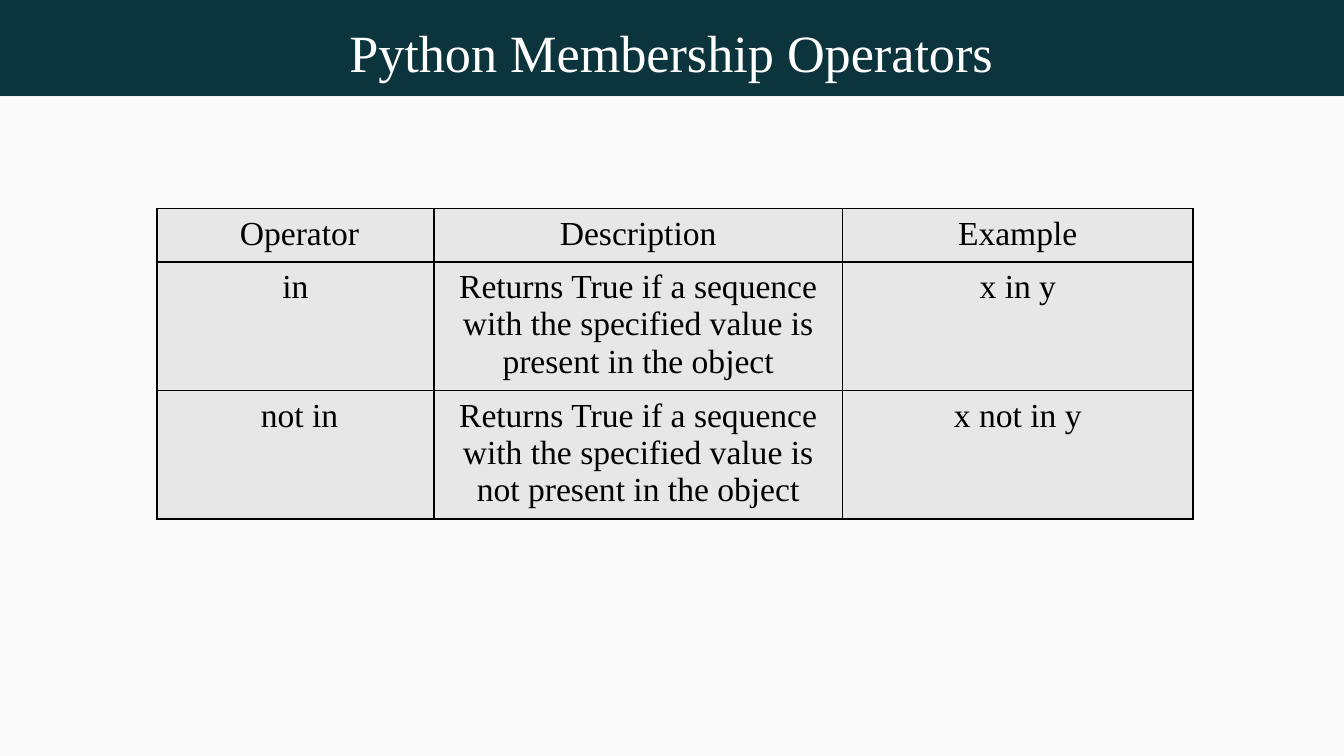
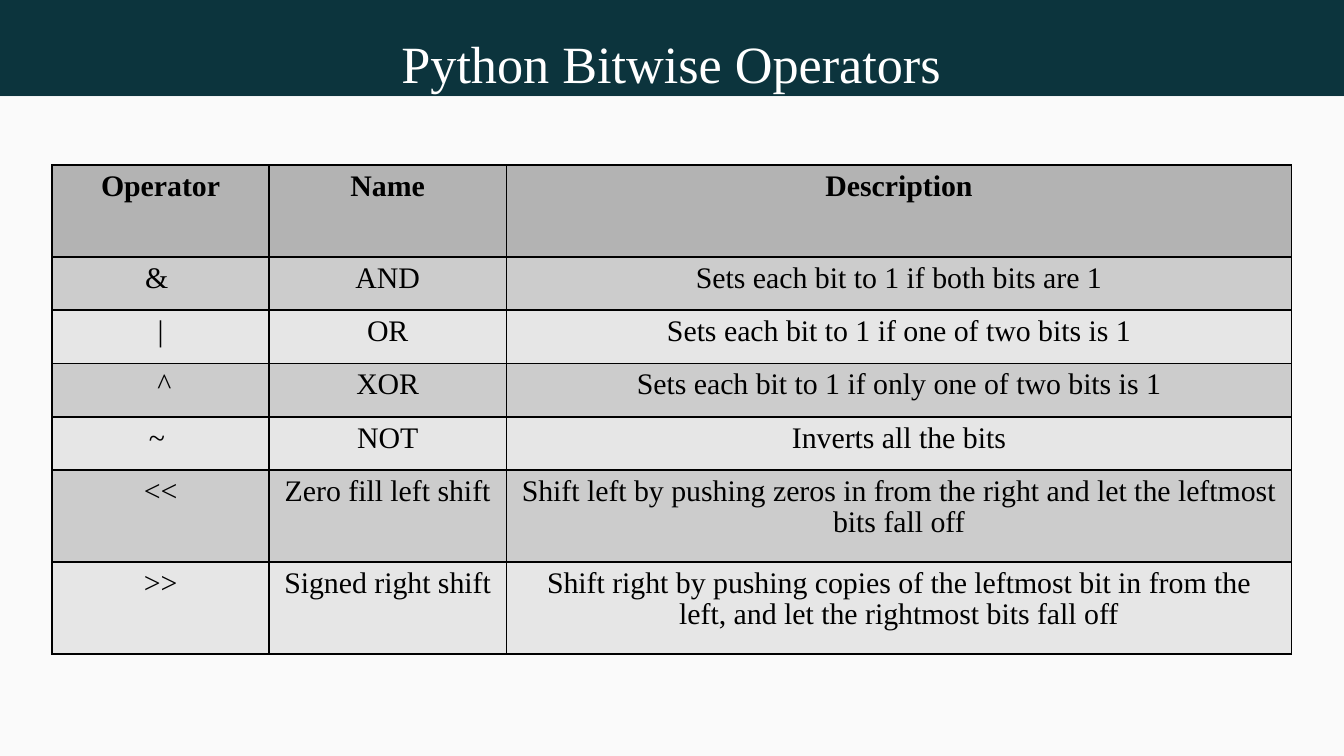
from dataclasses import dataclass

from lxml import etree
from pptx import Presentation
from pptx.dml.color import RGBColor
from pptx.enum import shapes, text
from pptx.oxml import ns
from pptx.util import Pt

FONT = "Times New Roman"
COLORS = {
    "band": "0C343D",
    "page": "FAFAFA",
    "title": "FFFFFF",
    "ink": "000000",
    "plain": "E7E7E7",
    "head": "B3B3B3",
    "odd": "CCCCCC",
    "even": "E6E6E6",
}
SLIDE_W, SLIDE_H, BAND_H = 720, 405, 51.6
BORDER_W = 0.96


@dataclass
class Band:
    top: float
    height: float
    color: str


@dataclass
class OperatorTable:
    title: str
    title_top: float
    left: float
    top: float
    widths: list[float]
    heights: list[float]
    rows: list[tuple[str, ...]]
    size: float
    head_fill: str
    body_fills: tuple[str, ...]
    head_bold: bool
    line_spacing: float
    side_margin: float
    first_margin: float


BANDS = [
    Band(0, BAND_H, "band"),
    Band(BAND_H, SLIDE_H - BAND_H, "page"),
]

TABLES = [
    OperatorTable(
        title="Python Membership Operators",
        title_top=10.8,
        left=84.2,
        top=111.6,
        widths=[148.3, 218.9, 187.8],
        heights=[28.8, 68.8, 68.8],
        rows=[
            ("Operator", "Description", "Example"),
            ("in ", "Returns True if a sequence with the specified value is "
             "present in the object", "x in y"),
            ("not in", "Returns True if a sequence with the specified value is "
             "not present in the object", "x not in y"),
        ],
        size=18,
        head_fill="plain",
        body_fills=("plain",),
        head_bold=False,
        line_spacing=1.0,
        side_margin=4.3,
        first_margin=8.6,
    ),
    OperatorTable(
        title="Python Bitwise Operators",
        title_top=16.8,
        left=28,
        top=88.5,
        widths=[116, 127.4, 420.5],
        heights=[49.2] + [28.55] * 4 + [49.2] * 2,
        rows=[
            ("Operator", "Name", "Description"),
            ("& ", "AND", "Sets each bit to 1 if both bits are 1"),
            ("|", "OR", "Sets each bit to 1 if one of two bits is 1"),
            (" ^", "XOR", "Sets each bit to 1 if only one of two bits is 1"),
            ("~ ", "NOT", "Inverts all the bits"),
            ("<<", "Zero fill left shift", "Shift left by pushing zeros in from "
             "the right and let the leftmost bits fall off"),
            (">>", "Signed right shift", "Shift right by pushing copies of the "
             "leftmost bit in from the left, and let the rightmost bits fall off"),
        ],
        size=16,
        head_fill="head",
        body_fills=("odd", "even"),
        head_bold=True,
        line_spacing=0.93,
        side_margin=7.2,
        first_margin=7.2,
    ),
]


def rgb(name: str) -> RGBColor:
    return RGBColor.from_string(COLORS[name])


def style_text(p, size: float, color: str, bold: bool = False) -> None:
    p.alignment = text.PP_ALIGN.CENTER
    for r in p.runs:
        r.font.name = FONT
        r.font.size = Pt(size)
        r.font.bold = bold
        r.font.color.rgb = rgb(color)


def add_layout_bands(layout, s) -> None:
    for i, band in enumerate(BANDS):
        sp = s.shapes.add_shape(shapes.MSO_SHAPE.RECTANGLE, Pt(0), Pt(band.top),
                                Pt(SLIDE_W), Pt(band.height))
        sp.shadow.inherit = False
        sp.fill.solid()
        sp.fill.fore_color.rgb = rgb(band.color)
        sp.line.fill.background()
        sp.element.nvSpPr.cNvPr.set("id", str(20 + i))
        layout.element.cSld.spTree.insert(2 + i, sp.element)


def add_title(s, title: str, top: float) -> None:
    sp = s.shapes.title
    sp.left, sp.top, sp.width, sp.height = Pt(28), Pt(top), Pt(663), Pt(34)
    tf = sp.text_frame
    tf.margin_left = tf.margin_right = tf.margin_top = tf.margin_bottom = Pt(0)
    tf.vertical_anchor = text.MSO_ANCHOR.TOP
    tf.auto_size = text.MSO_AUTO_SIZE.NONE
    tf.word_wrap = True
    tf.text = title
    style_text(tf.paragraphs[0], 28, "title")


def add_borders(cell) -> None:
    tcPr = cell._tc.get_or_add_tcPr()
    for i, side in enumerate(("lnL", "lnR", "lnT", "lnB")):
        ln = etree.Element(ns.qn(f"a:{side}"), w=str(Pt(BORDER_W)))
        fill = etree.SubElement(ln, ns.qn("a:solidFill"))
        etree.SubElement(fill, ns.qn("a:srgbClr"), val=COLORS["ink"])
        tcPr.insert(i, ln)


def add_operator_table(s, t: OperatorTable) -> None:
    tbl = s.shapes.add_table(len(t.rows), len(t.widths), Pt(t.left), Pt(t.top),
                             Pt(sum(t.widths)), Pt(sum(t.heights))).table
    tbl.first_row = tbl.horz_banding = False
    for col, width in zip(tbl.columns, t.widths):
        col.width = Pt(width)
    for i, (values, height) in enumerate(zip(t.rows, t.heights)):
        tbl.rows[i].height = Pt(height)
        fill = t.body_fills[(i - 1) % len(t.body_fills)] if i else t.head_fill
        for j, value in enumerate(values):
            cell = tbl.cell(i, j)
            cell.margin_left = Pt(t.side_margin if j else t.first_margin)
            cell.margin_right = Pt(t.side_margin)
            cell.margin_top = cell.margin_bottom = Pt(3.6)
            cell.fill.solid()
            cell.fill.fore_color.rgb = rgb(fill)
            add_borders(cell)
            p = cell.text_frame.paragraphs[0]
            p.text = value
            p.line_spacing = t.line_spacing
            style_text(p, t.size, "ink", t.head_bold and i == 0)


def main() -> None:
    prs = Presentation()
    prs.slide_width, prs.slide_height = Pt(SLIDE_W), Pt(SLIDE_H)
    layout = prs.slide_layouts[5]
    for i, t in enumerate(TABLES):
        s = prs.slides.add_slide(layout)
        if i == 0:
            add_layout_bands(layout, s)
        add_title(s, t.title, t.title_top)
        add_operator_table(s, t)
    prs.save("out.pptx")


if __name__ == "__main__":
    main()
